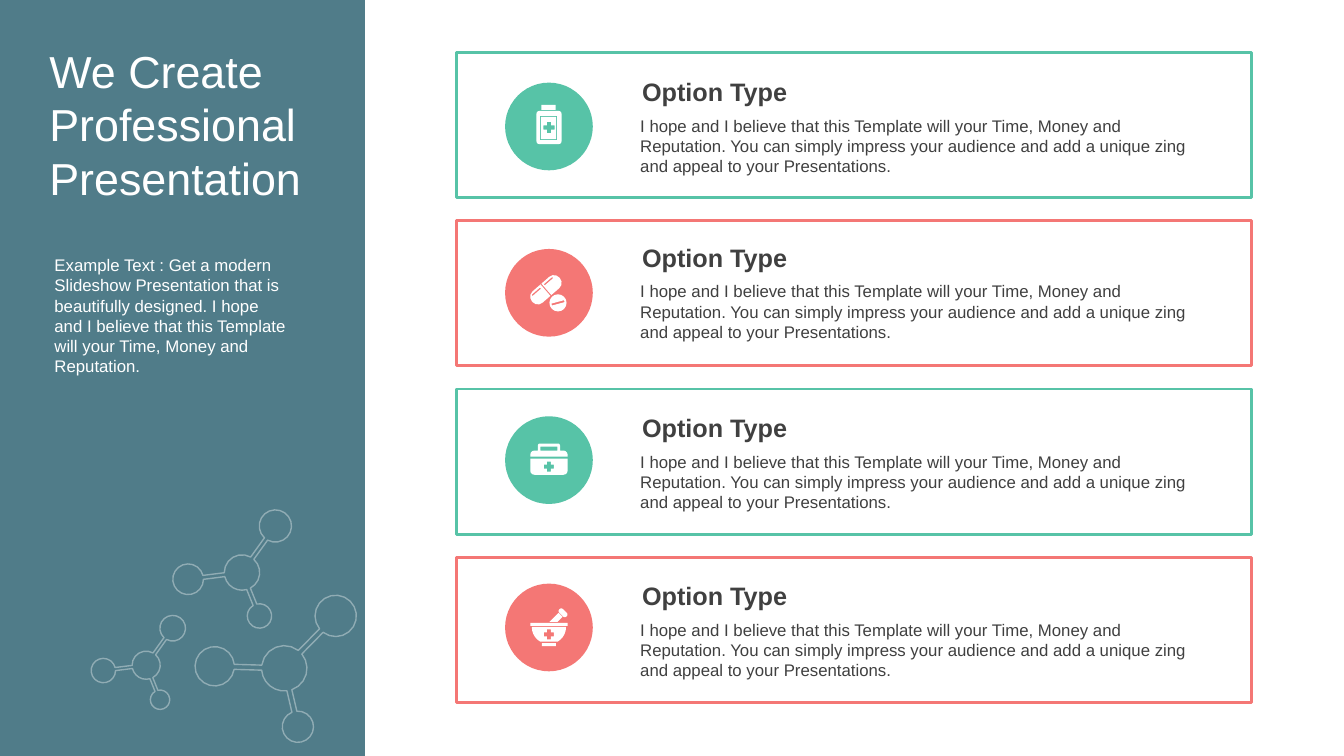
from math import asin, atan2, cos, pi, radians, sin

from lxml import etree
from pptx import Presentation
from pptx.dml.color import RGBColor
from pptx.enum.shapes import MSO_SHAPE
from pptx.enum.text import MSO_ANCHOR, MSO_AUTO_SIZE, PP_ALIGN
from pptx.oxml.ns import qn
from pptx.util import Inches, Pt

TEAL, CORAL, PANEL, WHITE, DARK = "57C3A7", "F47775", "507C89", "FFFFFF", "404040"
FONT = "Arial"
OPTION_TEXT = ("I hope and I believe that this Template will your Time, Money and "
               "Reputation. You can simply impress your audience and add a unique zing "
               "and appeal to your Presentations.")
INTRO = ("Example Text : Get a modern Slideshow Presentation that is beautifully "
         "designed. I hope and I believe that this Template will your Time, Money "
         "and Reputation.")


def color(hex_code):
    return RGBColor.from_string(hex_code)


def style(shape, fill=None, line=None, width=1, opacity=None):
    shape.shadow.inherit = False
    if fill:
        shape.fill.solid()
        shape.fill.fore_color.rgb = color(fill)
    else:
        shape.fill.background()
    if line:
        shape.line.color.rgb = color(line)
        shape.line.width = Pt(width)
    else:
        shape.line.fill.background()
    if opacity:
        tint = shape.element.spPr.find(qn("a:ln")).find(qn("a:solidFill"))[0]
        etree.SubElement(tint, qn("a:alpha")).set("val", str(opacity * 1000))


def add_preset(page, kind, box, **look):
    shape = page.shapes.add_shape(kind, *[Inches(v) for v in box])
    style(shape, **look)


def add_text(page, box, paragraphs, size, hex_code, bold=False, insets=(.08, .05, .12, .05)):
    frame = page.shapes.add_textbox(*[Inches(v) for v in box]).text_frame
    frame.word_wrap = True
    frame.auto_size = MSO_AUTO_SIZE.SHAPE_TO_FIT_TEXT
    frame.vertical_anchor = MSO_ANCHOR.TOP
    (frame.margin_left, frame.margin_top,
     frame.margin_right, frame.margin_bottom) = [Inches(v) for v in insets]
    for index, text in enumerate(paragraphs):
        para = frame.add_paragraph() if index else frame.paragraphs[0]
        para.alignment = PP_ALIGN.LEFT
        span = para.add_run()
        span.text = text
        span.font.name, span.font.size, span.font.bold = FONT, Pt(size), bold
        span.font.color.rgb = color(hex_code)


# Outlines: each contour is a list of points in inches
def arc(x, y, radius, start, end, steps):
    angles = [start + (end - start) * i / steps for i in range(steps + 1)]
    return [(x + radius * cos(a), y + radius * sin(a)) for a in angles]


def rounded(x, y, w, h, corners=(0, 0, 0, 0)):
    """Rectangle with radii for top left, top right, bottom right, bottom left."""
    points = []
    for index, radius in enumerate(corners):
        cx = x + w - radius if index in (1, 2) else x + radius
        cy = y + h - radius if index > 1 else y + radius
        start = pi + index * pi / 2
        points += arc(cx, cy, radius, start, start + pi / 2, 3) if radius else [(cx, cy)]
    return points


def turned(points, degrees, x, y):
    c, s = cos(radians(degrees)), sin(radians(degrees))
    return [(x + px * c - py * s, y + px * s + py * c) for px, py in points]


def cross(y, arm, half=.02):
    quarter = [(half, -arm), (half, -half), (arm, -half)]
    return [p for turn in range(4) for p in turned(quarter, 90 * turn, 0, y)]


def add_outline(page, contours, x, y, **look):
    placed = [[(Inches(x + px), Inches(y + py)) for px, py in c] for c in contours]
    builder = page.shapes.build_freeform(*placed[0][0])
    for index, points in enumerate(placed):
        if index:
            builder.move_to(*points[0])
        builder.add_line_segments(points[1:], close=True)
    style(builder.convert_to_shape(), **look)


# Icons, drawn around the centre of their disc
def bottle():
    return [rounded(-.125, -.155, .25, .33, (.03,) * 4), rounded(-.09, -.105, .17, .24),
            rounded(-.08, -.095, .15, .22), cross(.01, .055),
            rounded(-.075, -.215, .14, .05)]


def pills():
    capsule = [rounded(-.18, -.075, .174, .15, (.07, 0, 0, .07)),
               rounded(.006, -.075, .174, .15, (0, .07, .07, 0)),
               rounded(-.14, -.055, .11, .015), rounded(.02, -.055, .11, .015)]
    slot = turned(rounded(-.065, -.01, .13, .02), -15, .09, .1)
    return [turned(c, -41, -.03, -.03) for c in capsule] + [arc(.09, .1, .085, 0, 2 * pi, 16), slot]


def first_aid_kit():
    return [rounded(-.185, -.015, .37, .16, (0, 0, .04, .04)), cross(.065, .05),
            rounded(-.185, -.095, .37, .06, (.04, .04, 0, 0)),
            rounded(-.11, -.165, .22, .07, (.02, .02, 0, 0)),
            rounded(-.085, -.135, .17, .04)]


def mortar():
    bowl = arc(0, -.005, .17, 0, pi / 3, 5) + arc(0, -.005, .17, 2 * pi / 3, pi, 5)
    pestle = [(.095, -.145), (.135, -.105), (.085, -.055), (.005, -.055)]
    head = turned(rounded(-.05, -.025, .1, .05, (.02,) * 4), 45, .14, -.145)
    return [rounded(-.07, .155, .14, .03), bowl, cross(.07, .05),
            rounded(-.185, -.045, .37, .03), pestle, head]


def add_molecule(page, x, y, scale=1, turn=0):
    core, half = .225, .025
    atoms = [(.51, -.52, .205), (.135, .58, .155), (-.69, -.02, .195)]
    points = []
    for index, (ax, ay, radius) in enumerate(atoms):
        bond, gap, notch = atan2(ay, ax), asin(half / core), asin(half / radius)
        following = atoms[(index + 1) % len(atoms)]
        sweep = (atan2(following[1], following[0]) - bond) % (2 * pi)
        points += arc(ax, ay, radius, bond - pi + notch, bond + pi - notch, 18)
        points += arc(0, 0, core, bond + gap, bond + sweep - gap, 6)
    outline = [(px * scale, py * scale) for px, py in turned(points, turn, 0, 0)]
    add_outline(page, [outline], x, y, line=WHITE, opacity=36)


def add_side_panel(page, left, top, width, height):
    add_preset(page, MSO_SHAPE.RECTANGLE, (left, top, width, height), fill=PANEL)
    for x, y, scale, turn in [(2.82, 6.63, 1, 0), (2.4, 5.68, .78, -8.8),
                              (1.45, 6.6, .62, -8.8)]:
        add_molecule(page, left + x, top + y, scale, turn)
    add_text(page, (left + .46, top + 2.48, 2.55, 1.31), [INTRO], 12, WHITE)
    add_text(page, (left + .41, top + .43, 3.35, 1.62),
             ["We Create", "Professional Presentation"], 32, WHITE, insets=(.08, 0, .04, 0))


def add_option(page, left, top, accent, icon, disc_drop, text_drop):
    add_preset(page, MSO_SHAPE.RECTANGLE, (left, top, 7.88, 1.44), line=accent, width=2)
    disc, size = (left + .48, top + disc_drop), .87
    add_preset(page, MSO_SHAPE.OVAL, (*disc, size, size), fill=accent)
    add_outline(page, icon(), disc[0] + size / 2, disc[1] + size / 2, fill=WHITE)
    text_left, text_top = left + 1.74, top + text_drop
    add_text(page, (text_left, text_top, 5.76, .4), ["Option Type"], 18, DARK, True,
             (.1, .05, .12, .05))
    add_text(page, (text_left, text_top + .39, 5.76, .71), [OPTION_TEXT], 12, DARK)


def main():
    deck = Presentation()
    deck.slide_width, deck.slide_height = Inches(13.33), Inches(7.5)
    page = deck.slides.add_slide(deck.slide_layouts[6])
    add_side_panel(page, 0, 0, 3.62, 7.5)
    options = [(TEAL, bottle, .3, .19), (CORAL, pills, .28, .16),
               (TEAL, first_aid_kit, .27, .18), (CORAL, mortar, .26, .18)]
    for row, option in enumerate(options):
        add_option(page, 4.53, .52 + 1.67 * row, *option)
    deck.save("out.pptx")


if __name__ == "__main__":
    main()
